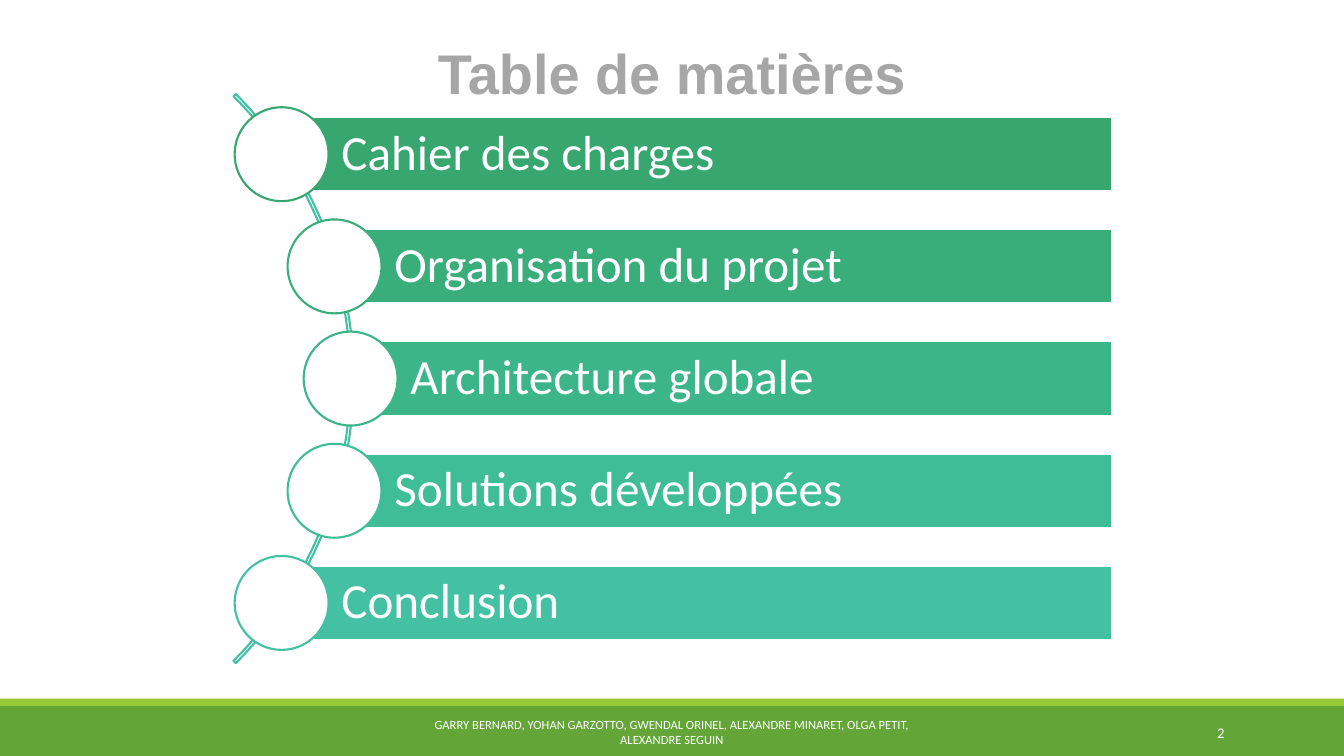
import math

from pptx import Presentation
from pptx import util as u
from pptx.dml.color import RGBColor
from pptx.enum import shapes, text

COLORS = {"white": "FFFFFF", "title": "A6A6A6", "footer": "63A537", "stripe": "99CB38", "arc": "44C1A3"}
AGENDA = [
    ("Cahier des charges", "37A76F"),
    ("Organisation du projet", "39AE7B"),
    ("Architecture globale", "3CB689"),
    ("Solutions développées", "3EBD96"),
    ("Conclusion", "44C1A3"),
]
AUTHORS = "GARRY BERNARD, YOHAN GARZOTTO, GWENDAL ORINEL, ALEXANDRE MINARET, OLGA PETIT, ALEXANDRE SEGUIN"
SHAPE = shapes.MSO_SHAPE
ALIGN = text.PP_ALIGN


def add_shape(slide, kind, box, fill=None, line=None):
    """Add a flat shape with an optional fill and outline."""
    sp = slide.shapes.add_shape(kind, *map(u.Inches, box))
    sp.shadow.inherit = False
    if fill:
        sp.fill.solid()
        sp.fill.fore_color.rgb = RGBColor.from_string(fill)
    else:
        sp.fill.background()
    if line:
        sp.line.color.rgb = RGBColor.from_string(line)
        sp.line.width = u.Pt(1.25)
    else:
        sp.line.fill.background()
    return sp


def set_text(sp, content, size, align, insets, color=COLORS["white"], font="Calibri", bold=False):
    """Fill a shape with one vertically centred paragraph."""
    tf = sp.text_frame
    tf.word_wrap = True
    tf.vertical_anchor = text.MSO_ANCHOR.MIDDLE
    tf.margin_left, tf.margin_top, tf.margin_right, tf.margin_bottom = map(u.Inches, insets)
    tf.text = content
    p = tf.paragraphs[0]
    p.alignment = align
    f = p.runs[0].font
    f.name, f.size, f.bold = font, u.Pt(size), bold
    f.color.rgb = RGBColor.from_string(color)
    return p


def add_label(slide, box, *args, **kwargs):
    """Add a text box holding one paragraph."""
    set_text(slide.shapes.add_textbox(*map(u.Inches, box)), *args, **kwargs)


def add_title(slide, box):
    """Add the centred slide title."""
    add_label(slide, box, "Table de matières", 33, ALIGN.CENTER, (0, 0, 0, 0),
              color=COLORS["title"], font="Arial", bold=True)


def add_agenda(slide, box):
    """Place the agenda bars and their circles along an arc at the left of the box."""
    left, top, width, height = box
    arc_size, radius, circle, bar = 6.6, 3.275, 0.77, 0.61
    center_x, center_y = left - 2.32, top + height / 2
    pitch = (height - circle) / (len(AGENDA) - 1)
    arc = add_shape(slide, SHAPE.BLOCK_ARC,
                    (center_x - arc_size / 2, center_y - arc_size / 2, arc_size, arc_size),
                    line=COLORS["arc"])
    for i, value in enumerate((189, 27, 0.004)):
        arc.adjustments[i] = value
    for i, (topic, color) in enumerate(AGENDA):
        y = top + circle / 2 + i * pitch
        x = center_x + math.sqrt(radius ** 2 - (y - center_y) ** 2)
        sp = add_shape(slide, SHAPE.RECTANGLE, (x, y - bar / 2, left + width - x, bar),
                       color, COLORS["white"])
        p = set_text(sp, topic, 29, ALIGN.LEFT, (0.49, 0.08, 0.08, 0.08))
        p.line_spacing = 0.9
        add_shape(slide, SHAPE.OVAL, (x - circle / 2, y - circle / 2, circle, circle),
                  COLORS["white"], color)


def add_footer(slide, box):
    """Add the footer band with its stripe, authors and page number."""
    left, top, width, height = box
    stripe = 0.06
    insets = (0.1, 0.05, 0.1, 0.05)
    add_shape(slide, SHAPE.RECTANGLE, (left, top + stripe, width, height - stripe), COLORS["footer"])
    add_shape(slide, SHAPE.RECTANGLE, (left, top, width, stripe), COLORS["stripe"])
    add_label(slide, (left + 3.33, top + 0.11, 4.36, 0.33), AUTHORS, 7.4, ALIGN.CENTER, insets)
    add_label(slide, (left + 8.95, top + 0.11, 1.19, 0.33), "2", 8.7, ALIGN.RIGHT, insets)


def main():
    """Build the table of contents slide."""
    prs = Presentation()
    prs.slide_width, prs.slide_height = u.Inches(11.02), u.Inches(6.2)
    s = prs.slides.add_slide(prs.slide_layouts[6])
    add_footer(s, (0, 5.73, 11.02, 0.47))
    add_title(s, (0.55, 0.24, 9.92, 0.71))
    add_agenda(s, (1.92, 0.88, 7.2, 4.45))
    prs.save("out.pptx")


if __name__ == "__main__":
    main()
